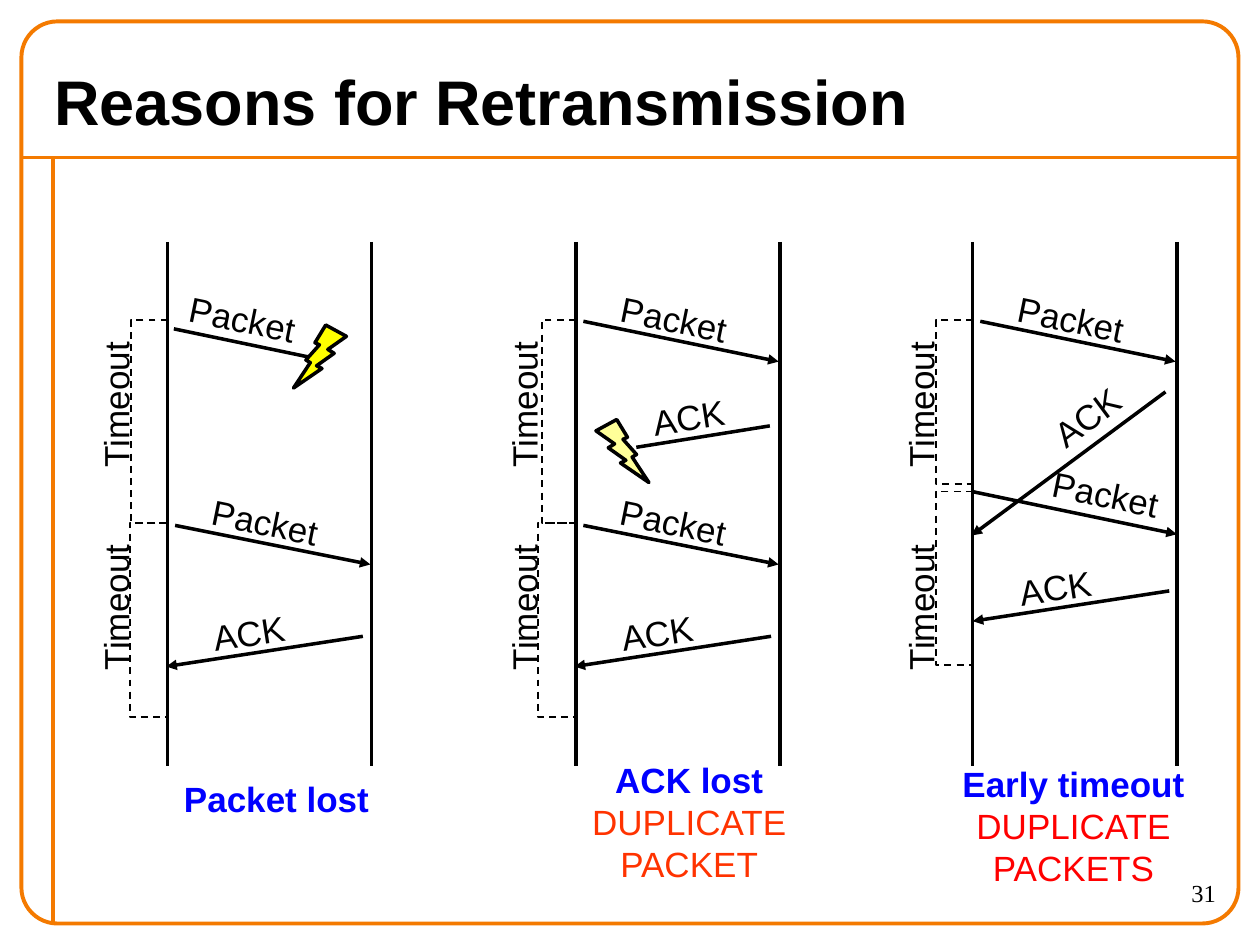
from lxml import etree
from pptx import Presentation
from pptx import util as u
from pptx.dml.color import RGBColor
from pptx.enum import dml, shapes, text
from pptx.oxml.ns import qn

deck = Presentation()
deck.slide_width, deck.slide_height = u.Inches(10), u.Inches(7.5)
CELL = deck.slide_width / 100
BLACK, ORANGE, BLUE = "000000", "F47A00", "0000FF"
MID = text.MSO_ANCHOR.MIDDLE
CENTER, RIGHT = text.PP_ALIGN.CENTER, text.PP_ALIGN.RIGHT
DOWN, UP, STEEP = 11.5, -8.8, -36.6


def grid(*cells):
    return [round(c * CELL) for c in cells]


def paint(part, color):
    part.solid()
    part.fore_color.rgb = RGBColor.from_string(color)


def stroke(item, color, width):
    paint(item.line.fill, color)
    item.line.width = u.Pt(width)


def rule(slide, ends, color=BLACK, width=2, tip=False):
    line = slide.shapes.add_connector(shapes.MSO_CONNECTOR.STRAIGHT, *grid(*ends))
    stroke(line, color, width)
    if tip:
        etree.SubElement(line.line._get_or_add_ln(), qn("a:tailEnd"), type="triangle")
    etree.SubElement(line._element.spPr, qn("a:effectLst"))


def write(para, words, size=20, color=BLACK, bold=False, font="Arial"):
    for i, part in enumerate(words.split("\n")):
        if i:
            para.add_line_break()
        run = para.add_run()
        run.text = part
        run.font.size, run.font.bold, run.font.name = u.Pt(size), bold, font
        run.font.color.rgb = RGBColor.from_string(color)


def label(slide, mid, size, parts, turn=0):
    (x, y), (w, h) = mid, size
    box = slide.shapes.add_textbox(*grid(x - w / 2, y - h / 2, w, h))
    box.rotation = turn
    frame = box.text_frame
    frame.word_wrap, frame.vertical_anchor = False, MID
    for i, (words, color, bold) in enumerate(parts):
        para = frame.add_paragraph() if i else frame.paragraphs[0]
        para.alignment = CENTER
        write(para, words, color=color, bold=bold)


def border(slide, box):
    x, y, w, h = box
    edge = slide.shapes.add_shape(shapes.MSO_SHAPE.ROUNDED_RECTANGLE, *grid(*box))
    edge.adjustments[0] = 0.04
    edge.shadow.inherit = False
    edge.fill.background()
    stroke(edge, ORANGE, 2.25)
    rule(slide, (x, y + 10.8, x + w, y + 10.8), ORANGE, 2.25)
    rule(slide, (x + 2.5, y + 10.8, x + 2.5, y + h), ORANGE, 2.25)


def head(slide, box, words):
    title = slide.shapes.title
    title.left, title.top, title.width, title.height = grid(*box)
    frame = title.text_frame
    frame.vertical_anchor = MID
    frame.paragraphs[0].alignment = text.PP_ALIGN.LEFT
    write(frame.paragraphs[0], words, 36, bold=True)


def number(slide, box, words):
    para = slide.shapes.add_textbox(*grid(*box)).text_frame.paragraphs[0]
    para.alignment = RIGHT
    write(para, words, 14, font="Times New Roman")


def bracket(slide, x, top, low, depth):
    path = slide.shapes.build_freeform(*grid(x, top))
    path.add_line_segments(
        [grid(x - depth, top), grid(x - depth, low), grid(x, low)], close=False)
    shape = path.convert_to_shape()
    shape.shadow.inherit = False
    shape.fill.background()
    stroke(shape, BLACK, 1)
    shape.line.dash_style = dml.MSO_LINE.DASH


def bolt(slide, x, y, color, flip):
    shape = slide.shapes.add_shape(
        shapes.MSO_SHAPE.LIGHTNING_BOLT, *grid(x, y, 4.2, 5))
    shape.shadow.inherit = False
    paint(shape.fill, color)
    stroke(shape, BLACK, 2)
    if flip:
        shape._element.spPr.xfrm.set("flipH", "1")


def panel(slide, box, case):
    x, y, w, h = box
    for side in (x, x + w):
        rule(slide, (side, y, side, y + h))
    for words, ends, tip, (dx, dy), turn in case["sends"]:
        x1, y1, x2, y2 = ends
        rule(slide, (x + x1, y + y1, x + x2, y + y2), tip=tip)
        size = (10.5 if words == "Packet" else 7.7, 4.4)
        label(slide, (x + dx, y + dy), size, [(words, BLACK, False)], turn)
    for (top, low, depth), mid in zip(case["waits"], (12.9, 29)):
        bracket(slide, x, y + top, y + low, depth)
        label(slide, (x - 4.15, y + mid), (13.3, 4.4), [("Timeout", BLACK, False)], 270)
    if "bolt" in case:
        dx, dy, color, flip = case["bolt"]
        bolt(slide, x + dx, y + dy, color, flip)
    (dx, dy), size, parts = case["note"]
    label(slide, (x + dx, y + dy), size, parts)


FIRST = ("Packet", (0.6, 6.3, 16.1, 9.5), True, (7.8, 6.1), DOWN)
AGAIN = ("Packet", (0.6, 22.5, 16.1, 25.6), True, (7.75, 22.2), DOWN)
REPLY = ("ACK", (15.5, 31.3, -0.1, 33.7), True, (6.45, 31), UP)
CASES = [
    (13.3, {
        "sends": [("Packet", (0.5, 6.9, 12, 9.3), False, (5.95, 6.1), DOWN),
                  AGAIN, REPLY],
        "waits": [(6.2, 22.3, 2.9), (22.3, 37.7, 3)],
        "bolt": (10, 6.6, "FFFF00", True),
        "note": ((8.65, 44.2), (16.7, 4.4), [("Packet lost", BLUE, True)]),
    }),
    (45.7, {
        "sends": [FIRST,
                  ("ACK", (15.4, 14.6, 4.8, 16.3), False, (8.95, 13.9), UP),
                  AGAIN, REPLY],
        "waits": [(6.2, 22.3, 2.7), (22.3, 37.7, 3)],
        "bolt": (1.6, 14.1, "FFFF99", False),
        "note": ((9, 46), (18.4, 11), [("ACK lost", BLUE, True),
                                       ("DUPLICATE\nPACKET", "FF3300", False)]),
    }),
    (77.2, {
        "sends": [FIRST,
                  ("ACK", (15.3, 11.9, -0.1, 23.3), True, (9.05, 13.9), STEEP),
                  ("Packet", (-0.1, 19.8, 16.2, 23.2), True, (10.55, 20), DOWN),
                  ("ACK", (15.6, 27.7, 0, 30.1), True, (6.55, 27.4), UP)],
        "waits": [(6.2, 19.2, 2.9), (19.8, 33.6, 2.9)],
        "note": ((8, 46.3), (19.6, 11), [("Early timeout", BLUE, True),
                                         ("DUPLICATE\nPACKETS", "FF0000", False)]),
    }),
]


def main():
    slide = deck.slides.add_slide(deck.slide_layouts[5])
    border(slide, (1.7, 1.7, 96.6, 71.6))
    head(slide, (3.3, 4.2, 88.2, 7.5), "Reasons for Retransmission")
    for left, case in CASES:
        panel(slide, (left, 19.2, 16.2, 41.6), case)
    number(slide, (87.5, 69.2, 10, 4.2), "31")
    deck.save("out.pptx")


if __name__ == "__main__":
    main()
